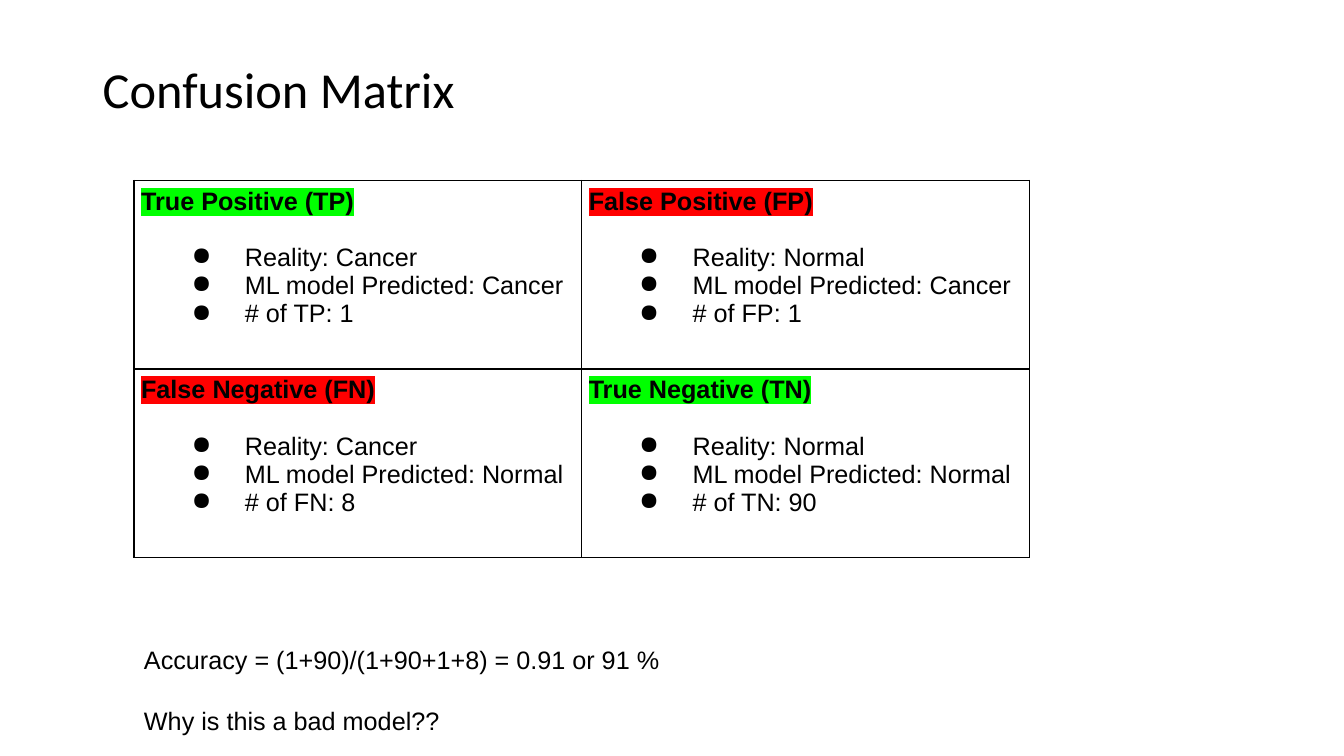
from lxml.etree import SubElement
from pptx import Presentation
from pptx.dml.color import RGBColor
from pptx.enum.text import MSO_ANCHOR
from pptx.oxml import parse_xml
from pptx.oxml.ns import nsdecls, qn
from pptx.util import Inches, Pt

COLORS = {"text": "000000", "border": "000000", "right": "00FF00", "wrong": "FF0000"}

OUTCOMES = [
    [("True Positive (TP)", "right", "Cancer", "Cancer", "# of TP: 1"),
     ("False Positive (FP)", "wrong", "Normal", "Cancer", "# of FP: 1")],
    [("False Negative (FN)", "wrong", "Cancer", "Normal", "# of FN: 8"),
     ("True Negative (TN)", "right", "Normal", "Normal", "# of TN: 90")],
]


class SlideBuilder:
    body = {"name": "Arial", "size": Pt(18), "bold": False}
    heading = {**body, "bold": True}
    title = {"name": "Calibri", "size": Pt(36), "bold": False}

    def __init__(self, slide):
        self.slide = slide

    def set_values(self, target, values):
        for name, value in values.items():
            setattr(target, name, value)

    def add_text_run(self, paragraph, text, style, highlight=None):
        run = paragraph.add_run()
        run.text = text
        self.set_values(run.font, style)
        run.font.color.rgb = RGBColor.from_string(COLORS["text"])
        if highlight:
            fill = run._r.get_or_add_rPr().find(qn("a:solidFill"))
            fill.addnext(parse_xml(
                f'<a:highlight {nsdecls("a")}>'
                f'<a:srgbClr val="{COLORS[highlight]}"/></a:highlight>'))

    def text(self, box, lines, style, frame_format, paragraph_format):
        frame = self.slide.shapes.add_textbox(*map(Inches, box)).text_frame
        self.set_values(frame, {"word_wrap": True, **frame_format})
        for index, line in enumerate(lines):
            paragraph = frame.add_paragraph() if index else frame.paragraphs[0]
            self.set_values(paragraph, paragraph_format)
            self.add_text_run(paragraph, line, style)

    def bullet(self, paragraph):
        properties = paragraph._p.get_or_add_pPr()
        properties.set("marL", str(Inches(1.03)))
        properties.set("indent", str(Inches(-0.53)))
        SubElement(properties, qn("a:buChar")).set("char", "●")

    def border(self, cell):
        properties = cell._tc.get_or_add_tcPr()
        for index, side in enumerate("LRTB"):
            properties.insert(index, parse_xml(
                f'<a:ln{side} {nsdecls("a")} w="{Pt(1)}"><a:solidFill>'
                f'<a:srgbClr val="{COLORS["border"]}"/></a:solidFill></a:ln{side}>'))

    def outcome(self, cell, name, highlight, reality, predicted, count):
        sides = ("left", "top", "right", "bottom")
        self.set_values(cell, {f"margin_{side}": Inches(0.07) for side in sides})
        cell.fill.background()
        self.border(cell)
        frame = cell.text_frame
        heading = frame.paragraphs[0]
        heading.space_after = Pt(20)
        self.add_text_run(heading, name, self.heading, highlight)
        for line in (f"Reality: {reality}", f"ML model Predicted: {predicted}", count):
            paragraph = frame.add_paragraph()
            self.bullet(paragraph)
            self.add_text_run(paragraph, line, self.body)

    def matrix(self, box, outcomes, row_height):
        shape = self.slide.shapes.add_table(
            len(outcomes), len(outcomes[0]), *map(Inches, box))
        table = shape.table
        self.set_values(table, {"first_row": False, "horz_banding": False})
        for row, row_outcomes in zip(table.rows, outcomes):
            row.height = Inches(row_height)
            for cell, values in zip(row.cells, row_outcomes):
                self.outcome(cell, *values)


def main():
    presentation = Presentation()
    presentation.slide_width = Inches(13.33)
    presentation.slide_height = Inches(7.5)
    builder = SlideBuilder(presentation.slides.add_slide(presentation.slide_layouts[6]))
    builder.text((0.92, 0.4, 11.5, 1.02), ["Confusion Matrix"], builder.title,
                 {"vertical_anchor": MSO_ANCHOR.MIDDLE}, {"line_spacing": 0.9})
    builder.matrix((1.33, 1.79, 8.88, 3.74), OUTCOMES, 1.87)
    builder.text((1.33, 6.03, 9.13, 1.31),
                 ["Accuracy = (1+90)/(1+90+1+8) = 0.91 or 91 %", "Why is this a bad model??"],
                 builder.body, {"margin_top": Inches(0.36)}, {"space_after": Pt(22)})
    presentation.save("out.pptx")


if __name__ == "__main__":
    main()
